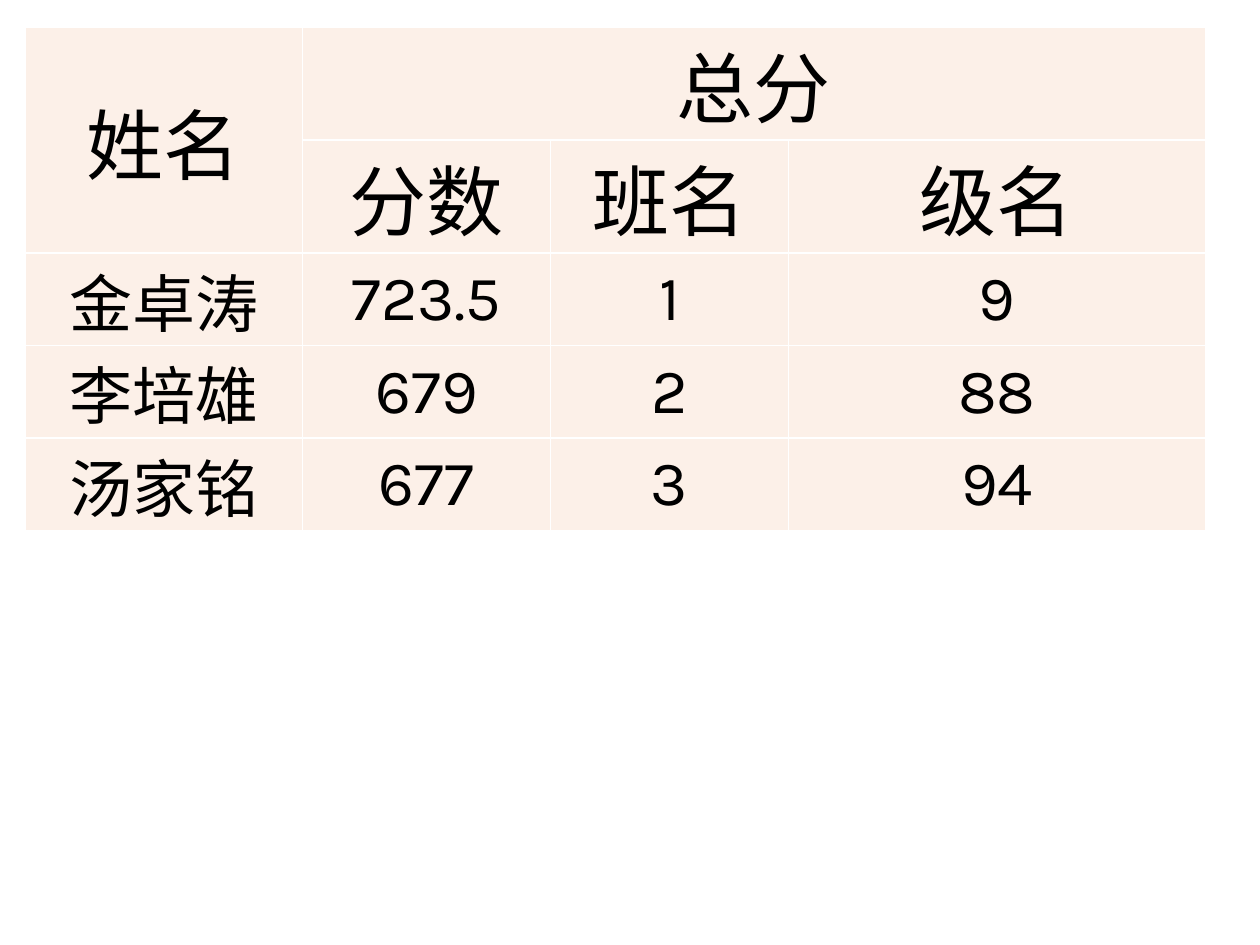
import pptx
import pptx.dml.color
import pptx.enum.text
import pptx.util
from lxml import etree
from pptx.oxml.ns import qn

Pt = pptx.util.Pt
RGB = pptx.dml.color.RGBColor.from_string

# Content: two header rows, then one row per student
HEADERS = [
    ["姓名", "总分", "", ""],
    ["", "分数", "班名", "级名"],
]
STUDENTS = [
    ["金卓涛", "723.5", "1", "9"],
    ["李培雄", "679", "2", "88"],
    ["汤家铭", "677", "3", "94"],
]
MERGES = [((0, 0), (1, 0)), ((0, 1), (0, 3))]

COLORS = {"cell": "FCF0E8", "border": "FFFFFF", "text": "000000"}
FONT = "Karla"
HEADER_SIZE, STUDENT_SIZE = 44, 36
HEADER_HEIGHT, STUDENT_HEIGHT = 64, 52.5
COLUMN_WIDTHS = [158.5, 141.75, 136, 238.25]
LEFT, TOP = 14.4, 15.3
INSET = 0.75


def add_borders(cell):
    properties = cell._tc.get_or_add_tcPr()
    for side in ("lnL", "lnR", "lnT", "lnB"):
        line = etree.SubElement(properties, qn(f"a:{side}"), w=str(Pt(1)))
        fill = etree.SubElement(line, qn("a:solidFill"))
        etree.SubElement(fill, qn("a:srgbClr"), val=COLORS["border"])


def style_cell(cell, text, size):
    add_borders(cell)
    cell.fill.solid()
    cell.fill.fore_color.rgb = RGB(COLORS["cell"])
    cell.margin_left = cell.margin_right = cell.margin_top = Pt(INSET)
    cell.margin_bottom = 0
    cell.vertical_anchor = pptx.enum.text.MSO_ANCHOR.MIDDLE
    cell.text = text
    paragraph = cell.text_frame.paragraphs[0]
    paragraph.alignment = pptx.enum.text.PP_ALIGN.CENTER
    paragraph.font.name = FONT
    paragraph.font.size = Pt(size)
    paragraph.font.color.rgb = RGB(COLORS["text"])


presentation = pptx.Presentation()
presentation.slide_width, presentation.slide_height = Pt(720), Pt(540)
slide = presentation.slides.add_slide(presentation.slide_layouts[6])

# Score table
rows = HEADERS + STUDENTS
heights = [HEADER_HEIGHT] * len(HEADERS) + [STUDENT_HEIGHT] * len(STUDENTS)
sizes = [HEADER_SIZE] * len(HEADERS) + [STUDENT_SIZE] * len(STUDENTS)
scores = slide.shapes.add_table(
    len(rows), len(COLUMN_WIDTHS), Pt(LEFT), Pt(TOP),
    Pt(sum(COLUMN_WIDTHS)), Pt(sum(heights)),
).table
scores.first_row = scores.horz_banding = False

for column, width in zip(scores.columns, COLUMN_WIDTHS):
    column.width = Pt(width)
for r, (texts, height, size) in enumerate(zip(rows, heights, sizes)):
    scores.rows[r].height = Pt(height)
    for c, text in enumerate(texts):
        style_cell(scores.cell(r, c), text, size)

# Header cells that span rows or columns
for first, last in MERGES:
    scores.cell(*first).merge(scores.cell(*last))

presentation.save("out.pptx")
